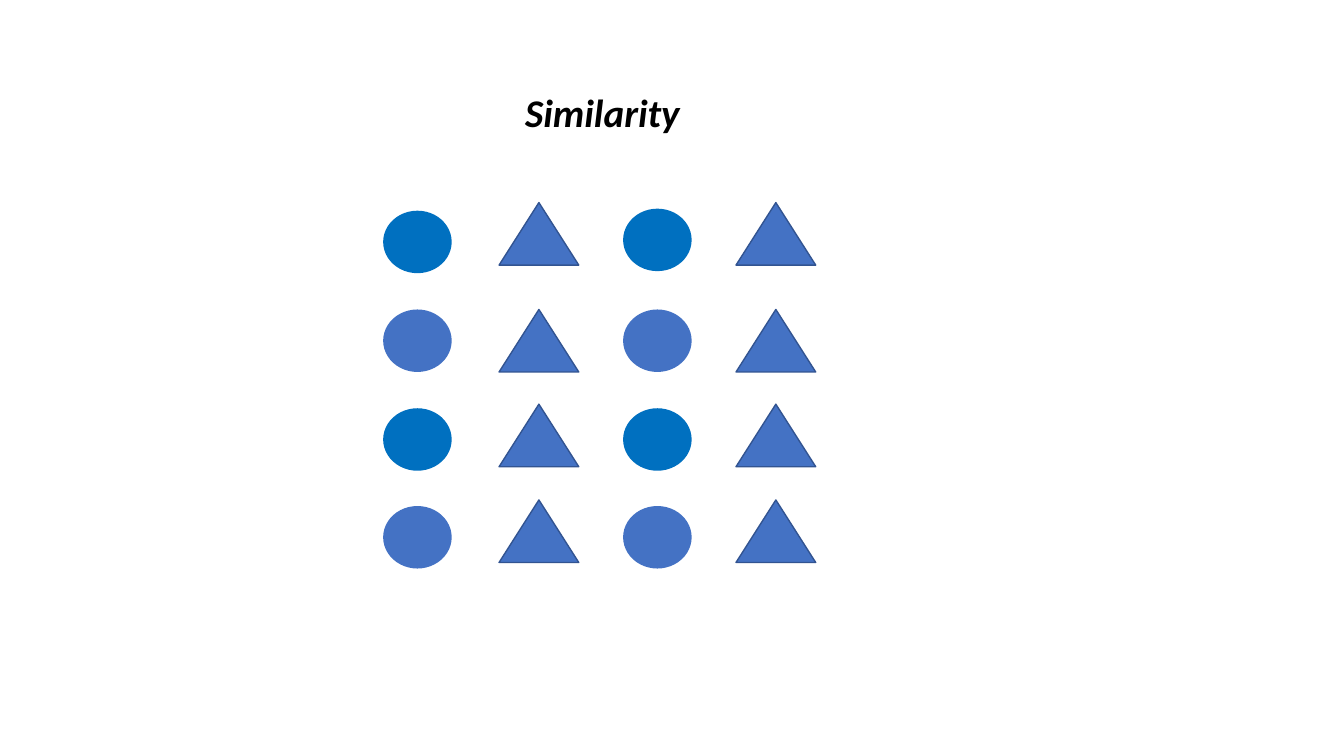
from pptx import Presentation
from pptx.dml.color import RGBColor
from pptx.enum import shapes, text
from pptx.util import Inches, Pt

BLACK = RGBColor(0x00, 0x00, 0x00)
BRIGHT_BLUE = RGBColor(0x00, 0x70, 0xC0)
SOFT_BLUE = RGBColor(0x44, 0x72, 0xC4)
EDGE_BLUE = RGBColor(0x32, 0x54, 0x91)

CIRCLE_TOPS = (0.08, 1.06, 2.04, 3.01)
TRIANGLE_TOPS = (0, 1.06, 2, 2.95)
SHAPE_HEIGHT = 0.62


def add_text(slide, content, left, top, width, height, *, size, color,
             font="Calibri", bold=False, italic=False):
    box = slide.shapes.add_textbox(Inches(left), Inches(top),
                                   Inches(width), Inches(height))
    tf = box.text_frame
    tf.word_wrap = False
    tf.auto_size = text.MSO_AUTO_SIZE.SHAPE_TO_FIT_TEXT
    r = tf.paragraphs[0].add_run()
    r.text = content
    r.font.name = font
    r.font.size = Pt(size)
    r.font.bold = bold
    r.font.italic = italic
    r.font.color.rgb = color


def add_column(slide, kind, left, top, width, row_tops, fills, edge=None):
    """Stack one kind of shape downwards, cycling through the fills."""
    for row, offset in enumerate(row_tops):
        sp = slide.shapes.add_shape(kind, Inches(left), Inches(top + offset),
                                    Inches(width), Inches(SHAPE_HEIGHT))
        sp.shadow.inherit = False
        sp.fill.solid()
        sp.fill.fore_color.rgb = fills[row % len(fills)]
        if edge is None:
            sp.line.fill.background()
        else:
            sp.line.color.rgb = edge
            sp.line.width = Pt(1)


def add_similarity_grid(slide, left, top):
    """Alternate columns of circles and triangles."""
    first_circle_top = CIRCLE_TOPS[0]
    for x, raised in ((0, 0.02), (2.38, 0)):
        # The right-hand column starts slightly higher than the left one.
        first = first_circle_top - (0.02 - raised)
        add_column(slide, shapes.MSO_SHAPE.OVAL, left + x, top, 0.68,
                   (first, *CIRCLE_TOPS[1:]), (BRIGHT_BLUE, SOFT_BLUE))
    for x in (1.15, 3.5):
        add_column(slide, shapes.MSO_SHAPE.ISOSCELES_TRIANGLE, left + x, top,
                   0.79, TRIANGLE_TOPS, (SOFT_BLUE,), EDGE_BLUE)


def main():
    prs = Presentation()
    prs.slide_width, prs.slide_height = Inches(13.33), Inches(7.5)
    slide = prs.slides.add_slide(prs.slide_layouts[6])
    add_text(slide, "Similarity", 5.11, 0.83, 1.75, 0.57,
             size=28, color=BLACK, bold=True, italic=True)
    add_similarity_grid(slide, 3.8, 2.01)
    prs.save("out.pptx")


if __name__ == "__main__":
    main()
